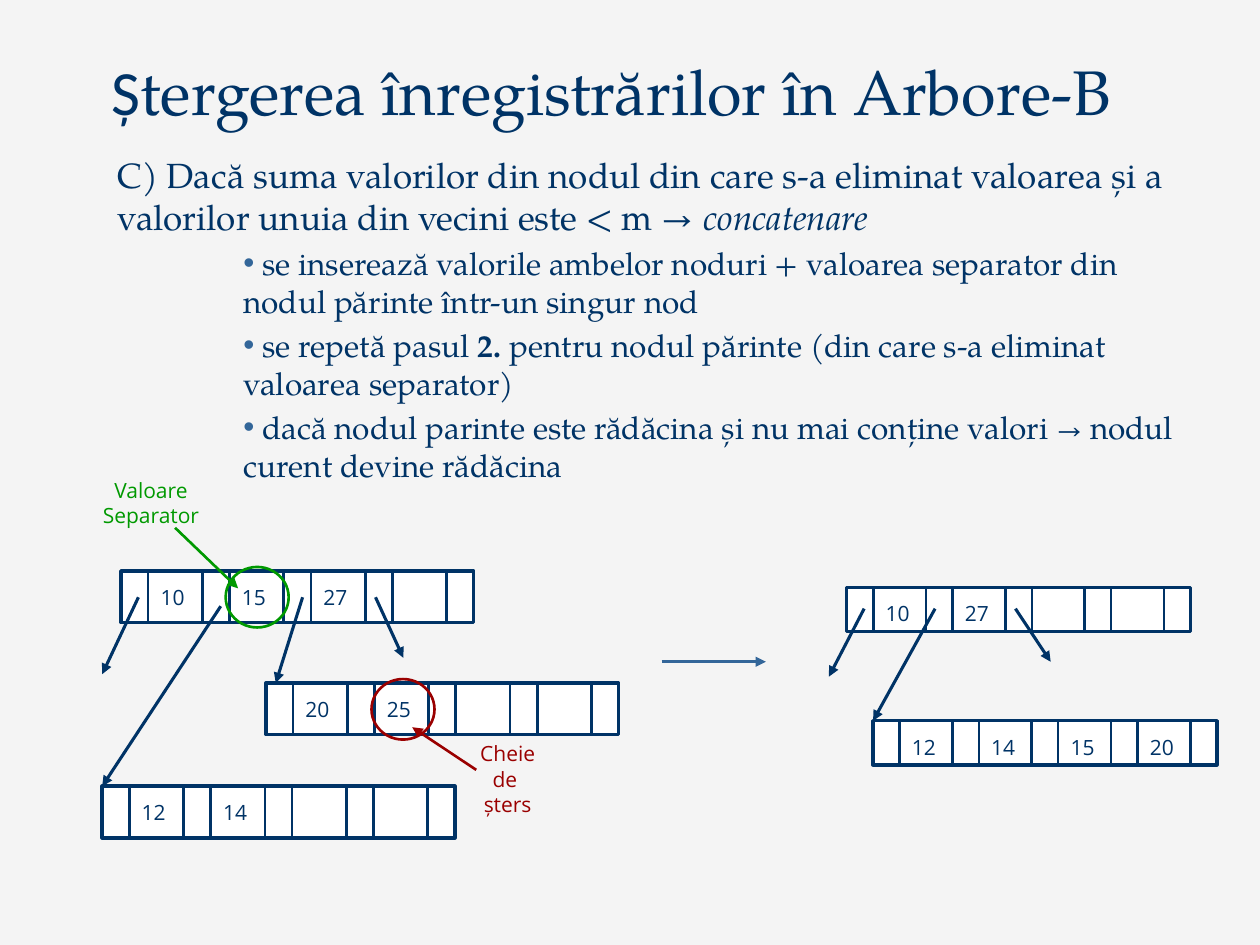
from lxml.etree import SubElement
from pptx import Presentation
from pptx.dml.color import RGBColor
from pptx.enum.shapes import MSO_CONNECTOR as Link, MSO_SHAPE as Preset
from pptx.enum.text import MSO_ANCHOR as Anchor, MSO_AUTO_SIZE as Fit, PP_ALIGN as Align
from pptx.oxml.ns import qn
from pptx.util import Cm, Pt

NAVY, BLUE, RED, GREEN, WHITE = "003366", "336699", "9A0000", "009900", "FFFFFF"
SERIF, SANS = "TeX Gyre Pagella", "Open Sans"

TITLE = [("Ș", {"name": "Calibri"}), ("tergerea înregistrărilor în Arbore-B", {})]
CASE = [
    ("C) Dacă suma valorilor din nodul din care s-a eliminat valoarea și a "
     "valorilor unuia din vecini este < m → ", {}),
    ("concatenare", {"italic": True}),
]
STEPS = [
    [(" se inserează valorile ambelor noduri + valoarea separator din "
      "nodul părinte într-un singur nod", {})],
    [(" se repetă pasul ", {}), ("2.", {"bold": True}),
     (" pentru nodul părinte (din care s-a eliminat valoarea separator)", {})],
    [(" dacă nodul parinte este rădăcina și nu mai conține valori ", {}),
     ("→", {"size": Pt(16)}), (" nodul curent devine rădăcina", {})],
]
NODES = [
    (2.44, 11.51, 7.11, 1.04, ["10", "15", "27"]),
    (2.06, 15.85, 7.11, 1.04, ["12", "14"]),
    (5.36, 13.77, 7.11, 1.04, ["20", "25"]),
    (17.07, 11.84, 6.93, 0.89, ["10", "27"]),
    (17.6, 14.53, 6.93, 0.89, ["12", "14", "15", "20"]),
]
POINTERS = [
    (2.79, 12.04, 2.06, 13.59), (4.45, 12.22, 2.06, 15.85),
    (6.1, 12.04, 5.56, 13.77), (7.57, 12.04, 8.13, 13.26),
    (17.42, 12.27, 16.71, 13.64), (18.85, 12.27, 17.6, 14.53),
    (20.47, 12.27, 21.18, 13.34),
]
CALLOUTS = [
    ("Cheie\vde \vșters", RED, (9.04, 14.81, 2.39, 1.8),
     (7.49, 13.69, 1.27, 1.22), (9.6, 15.52, 8.31, 14.66)),
    ("Valoare\vSeparator", GREEN, (1.47, 9.5, 3.15, 1.3),
     (4.55, 11.43, 1.27, 1.22), (3.53, 10.64, 4.8, 11.86)),
]


def paint(target, color):
    """Give a fill a solid colour."""
    target.solid()
    target.fore_color.rgb = RGBColor.from_string(color)


def style(run, color, **values):
    """Apply font values and a colour to a run."""
    for key, value in values.items():
        setattr(run.font, key, value)
    paint(run.font.fill, color)


def write(paragraph, pieces, **base):
    """Add navy runs that share a base format."""
    for words, extra in pieces:
        run = paragraph.add_run()
        run.text = words
        style(run, NAVY, **{**base, **extra})


def place(holder, left, top, width, height, **frame):
    """Move a placeholder and set its text frame values."""
    box = {"left": left, "top": top, "width": width, "height": height}
    for key, value in box.items():
        setattr(holder, key, Cm(value))
    for key, value in {"auto_size": Fit.NONE, "word_wrap": True, **frame}.items():
        setattr(holder.text_frame, key, value)
    return holder.text_frame


def indent(paragraph, level, left, bullet=None):
    """Set the level, left margin and bullet of a paragraph."""
    paragraph.level = level
    props = paragraph._p.get_or_add_pPr()
    props.set("marL", str(Cm(left)))
    props.set("indent", "0")
    if bullet:
        tint = SubElement(props, qn("a:buClr"))
        SubElement(tint, qn("a:srgbClr")).set("val", BLUE)
        SubElement(props, qn("a:buChar")).set("char", bullet)
    else:
        SubElement(props, qn("a:buNone"))


def add_label(slide, words, box, color=NAVY, align=Align.LEFT):
    """Add a small text box."""
    frame = slide.shapes.add_textbox(*map(Cm, box)).text_frame
    frame.word_wrap = True
    paragraph = frame.paragraphs[0]
    paragraph.text = words
    paragraph.alignment = align
    for run in paragraph.runs:
        style(run, color, name=SANS, size=Pt(12))


def add_outline(slide, preset, box, color, width, inside=None):
    """Add an outlined shape, filled if an inside colour is given."""
    shape = slide.shapes.add_shape(preset, *map(Cm, box))
    shape.shadow.inherit = False
    if inside:
        paint(shape.fill, inside)
    else:
        shape.fill.background()
    paint(shape.line.fill, color)
    shape.line.width = Pt(width)


def add_line(slide, ends, color=NAVY, width=1.5, arrow=True):
    """Add a straight line, with an arrowhead at its end if wanted."""
    line = slide.shapes.add_connector(Link.STRAIGHT, *map(Cm, ends))
    paint(line.line.fill, color)
    line.line.width = Pt(width)
    if arrow:
        SubElement(line.line._get_or_add_ln(), qn("a:tailEnd")).set("type", "triangle")
    SubElement(line._element.spPr, qn("a:effectLst"))


def add_node(slide, left, top, width, height, keys):
    """Add a tree node: five pointer cells of one unit, four key cells of two."""
    unit = width / 13
    add_outline(slide, Preset.RECTANGLE, (left, top, width, height), NAVY, 2, WHITE)
    for slot in range(4):
        start = left + unit * (1 + 3 * slot)
        for x in (start, start + 2 * unit):
            add_line(slide, (x, top + 0.03, x, top + height + 0.03), arrow=False)
        if slot < len(keys):
            add_label(slide, keys[slot], (start, top + 0.15, 2 * unit, 0.76))


def add_texts(slide):
    """Fill the title and body placeholders."""
    title, body = slide.placeholders
    heading = place(title, 1.65, 0.91, 21.34, 1.8, vertical_anchor=Anchor.BOTTOM)
    heading.paragraphs[0].alignment = Align.CENTER
    write(heading.paragraphs[0], TITLE, name=SERIF, size=Pt(36))
    frame = place(body, 0.84, 2.97, 23.5, 5.51)
    indent(frame.paragraphs[0], 1, 1.27)
    write(frame.paragraphs[0], CASE, name=SERIF, size=Pt(20))
    for step in STEPS:
        paragraph = frame.add_paragraph()
        indent(paragraph, 3, 3.81, "•")
        write(paragraph, step, name=SERIF, size=Pt(18))


def main():
    """Build the slide on deleting records from a B-tree."""
    deck = Presentation()
    deck.slide_width, deck.slide_height = Cm(25.4), Cm(19.05)
    slide = deck.slides.add_slide(deck.slide_layouts[1])
    paint(slide.background.fill, "F4F4F4")
    add_texts(slide)
    for node in NODES:
        add_node(slide, *node)
    for ends in POINTERS:
        add_line(slide, ends, width=1.75)
    for words, color, box, ring, ends in CALLOUTS:
        add_outline(slide, Preset.OVAL, ring, color, 1.5)
        add_line(slide, ends, color)
        add_label(slide, words, box, color, Align.CENTER)
    add_line(slide, (13.34, 13.34, 15.44, 13.34), BLUE)
    deck.save("out.pptx")


main()
